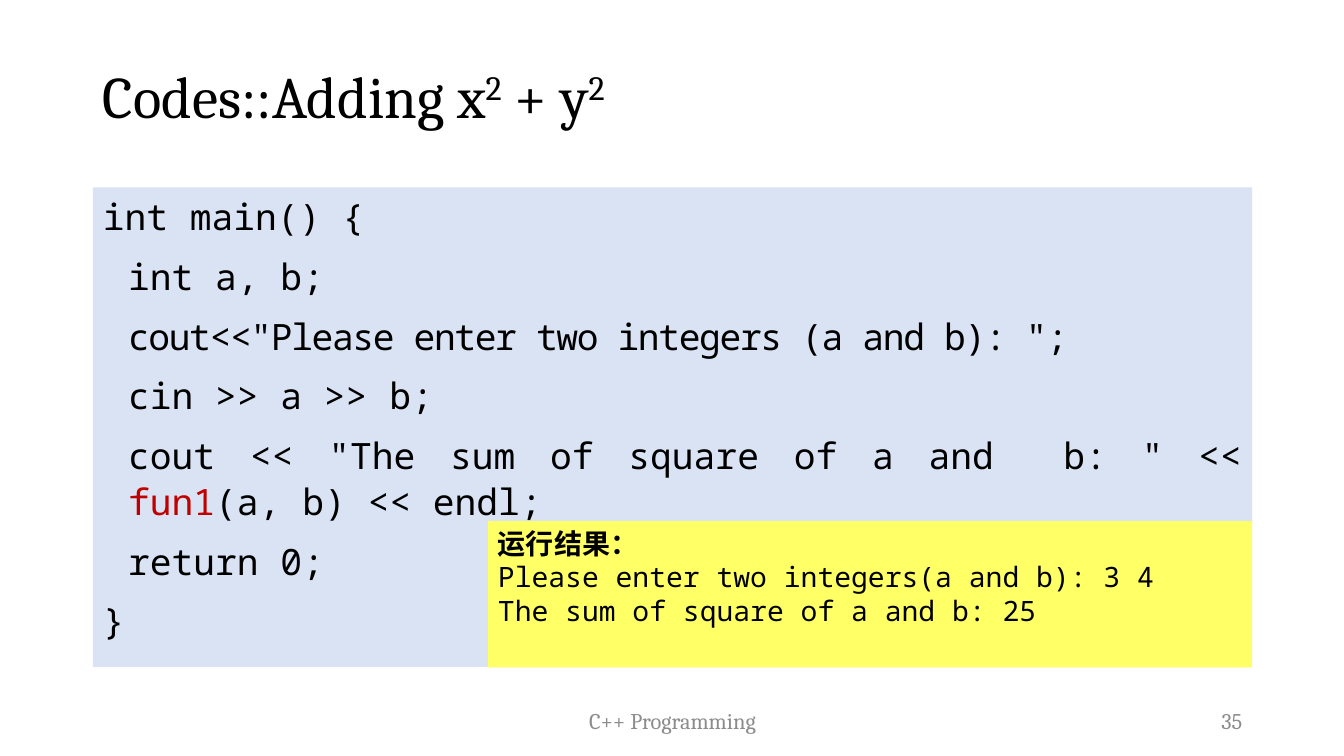
"""Build the slide with the sum-of-squares program and its output."""
from dataclasses import dataclass

from lxml.etree import SubElement
from pptx import Presentation
from pptx.dml.color import RGBColor
from pptx.enum.shapes import MSO_SHAPE
from pptx.enum.text import MSO_ANCHOR as Anchor, MSO_AUTO_SIZE as AutoSize, PP_ALIGN as Align
from pptx.oxml.ns import qn
from pptx.util import Inches, Pt

SERIF, MONO = "Cambria", "Noto Sans Mono"
BLACK, GREY, RED = "000000", "8C8C8C", "C00000"
PALE_BLUE, YELLOW = "DAE3F3", "FFFF66"
LEFT, WIDTH = 0.92, 11.5


@dataclass(frozen=True)
class Piece:
    text: str
    color: str = ""
    spacing: int = 0
    baseline: int = 0


@dataclass(frozen=True)
class Footer:
    text: str
    left: float
    width: float
    align: Align


TITLE = [Piece("Codes::Adding x"), Piece("2", baseline=30000),
         Piece(" + y"), Piece("2", baseline=30000)]
CODE = [
    [Piece("int main() {")],
    [Piece("\tint a, b;")],
    [Piece("\t"), Piece('cout<<"Please enter two integers (a and b): ";', spacing=-100)],
    [Piece("\tcin >> a >> b;")],
    [Piece('\tcout << "The sum of square of a and  b: " << '),
     Piece("fun1", color=RED), Piece("(a, b) << endl;")],
    [Piece("\treturn 0;")],
    [Piece("}")],
]
RESULT = ["运行结果：", "Please enter two integers(a and b): 3 4",
          "The sum of square of a and b: 25"]
FOOTERS = [Footer("C++ Programming", 4.42, 4.5, Align.CENTER),
           Footer("35", 9.42, 3, Align.RIGHT)]


def rgb(color: str) -> RGBColor:
    """Turn a hex string into a colour."""
    return RGBColor.from_string(color)


def place(shape, left: float, top: float, width: float, height: float) -> None:
    """Move and size a shape, in inches."""
    shape.left, shape.top = Inches(left), Inches(top)
    shape.width, shape.height = Inches(width), Inches(height)


def fill(shape, color: str) -> None:
    """Give a shape a solid fill and no outline."""
    shape.fill.solid()
    shape.fill.fore_color.rgb = rgb(color)
    shape.line.fill.background()


def style(paragraph, name: str, size: float, color: str, align: Align = Align.LEFT) -> None:
    """Set the alignment and font of a paragraph."""
    paragraph.alignment = align
    font = paragraph.font
    font.name, font.size = name, Pt(size)
    font.color.rgb = rgb(color)


def add_pieces(paragraph, pieces: list[Piece]) -> None:
    """Add runs with their own colour, spacing or baseline."""
    for piece in pieces:
        run = paragraph.add_run()
        run.text = piece.text
        if piece.color:
            run.font.color.rgb = rgb(piece.color)
        properties = run._r.get_or_add_rPr()
        if piece.spacing:
            properties.set("spc", str(piece.spacing))
        if piece.baseline:
            properties.set("baseline", str(piece.baseline))


def paragraphs(frame, count: int) -> list:
    """Return the given number of paragraphs of a text frame."""
    return [frame.paragraphs[0], *(frame.add_paragraph() for _ in range(count - 1))]


def add_title(shape) -> None:
    """Format and write the title."""
    place(shape, LEFT, 0.26, WIDTH, 1.45)
    frame = shape.text_frame
    frame.auto_size, frame.vertical_anchor = AutoSize.NONE, Anchor.MIDDLE
    paragraph = frame.paragraphs[0]
    paragraph.line_spacing = 0.9
    style(paragraph, SERIF, 42, BLACK)
    add_pieces(paragraph, TITLE)


def add_code(shape) -> None:
    """Format and write the program listing."""
    place(shape, LEFT, 1.86, WIDTH, 4.76)
    fill(shape, PALE_BLUE)
    frame = shape.text_frame
    frame.auto_size = AutoSize.NONE
    for index, (paragraph, pieces) in enumerate(zip(paragraphs(frame, len(CODE)), CODE)):
        paragraph.line_spacing = 1.05
        paragraph.space_before = Pt(10 if index else 0)
        properties = paragraph._p.get_or_add_pPr()
        properties.set("marL", str(Inches(0.25)))
        properties.set("indent", str(Inches(-0.25)))
        SubElement(properties, qn("a:buNone"))
        style(paragraph, MONO, 25.9, BLACK, Align.JUSTIFY)
        add_pieces(paragraph, pieces)


def add_result(slide) -> None:
    """Add the yellow box with the program output."""
    shape = slide.shapes.add_shape(MSO_SHAPE.RECTANGLE, 0, 0, 0, 0)
    place(shape, 4.84, 5.17, 7.58, 1.45)
    shape.shadow.inherit = False
    fill(shape, YELLOW)
    frame = shape.text_frame
    frame.word_wrap, frame.vertical_anchor = True, Anchor.TOP
    for index, (paragraph, text) in enumerate(zip(paragraphs(frame, len(RESULT)), RESULT)):
        paragraph.text = text
        style(paragraph, MONO, 20, BLACK)
        paragraph.font.bold = index == 0


def add_footer(slide, footer: Footer) -> None:
    """Add one grey footer text."""
    box = slide.shapes.add_textbox(0, 0, 0, 0)
    place(box, footer.left, 6.95, footer.width, 0.4)
    frame = box.text_frame
    frame.word_wrap, frame.vertical_anchor = True, Anchor.MIDDLE
    paragraph = frame.paragraphs[0]
    paragraph.text = footer.text
    style(paragraph, SERIF, 16, GREY, footer.align)


def main() -> None:
    """Build and save the presentation."""
    presentation = Presentation()
    presentation.slide_width, presentation.slide_height = Inches(13.33), Inches(7.5)
    slide = presentation.slides.add_slide(presentation.slide_layouts[1])
    add_title(slide.shapes.title)
    for footer in FOOTERS:
        add_footer(slide, footer)
    add_code(slide.placeholders[1])
    add_result(slide)
    presentation.save("out.pptx")


if __name__ == "__main__":
    main()
